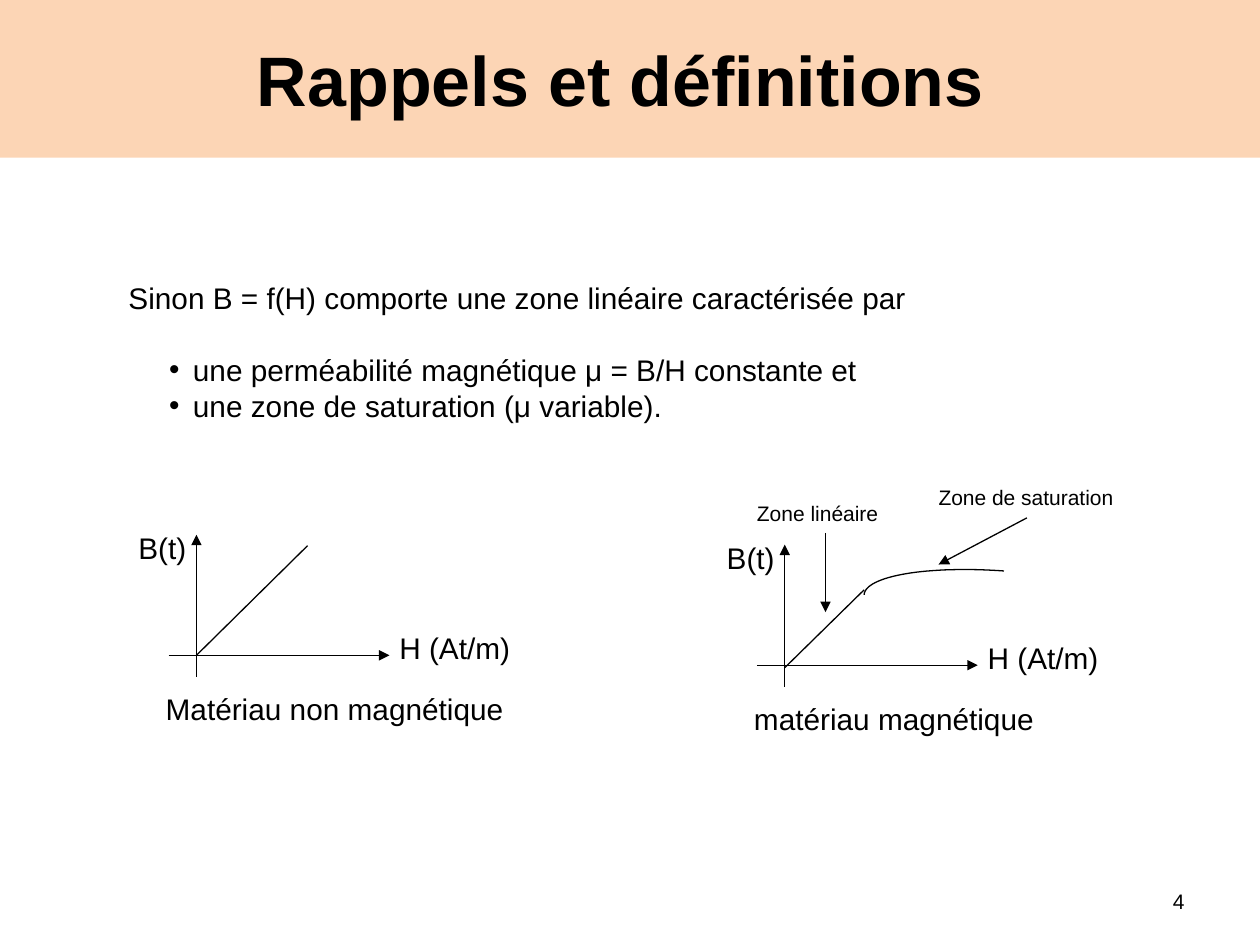
from lxml import etree
from pptx import Presentation
from pptx.dml.color import RGBColor
from pptx.enum.shapes import MSO_CONNECTOR
from pptx.enum.text import MSO_ANCHOR, PP_ALIGN
from pptx.oxml.ns import qn
from pptx.util import Cm, Pt

BLACK = RGBColor(0x00, 0x00, 0x00)
PEACH = RGBColor(0xFC, 0xD5, 0xB5)
STRAIGHT = MSO_CONNECTOR.STRAIGHT
MIDDLE = MSO_ANCHOR.MIDDLE
LEFT, CENTER = PP_ALIGN.LEFT, PP_ALIGN.CENTER
RIGHT, JUSTIFY = PP_ALIGN.RIGHT, PP_ALIGN.JUSTIFY
PITCH = 20.57  # body line height in points


def bezier(p0, p1, p2, p3, steps=32):
    """Return points along a cubic curve."""
    points = []
    for i in range(steps + 1):
        t = i / steps
        u = 1 - t
        points.append(tuple(
            u**3 * a + 3 * u * u * t * b + 3 * u * t * t * c + t**3 * d
            for a, b, c, d in zip(p0, p1, p2, p3)))
    return points


class Deck:
    font = "Arial"
    size = 17
    small = 12
    width = 0.75

    def __init__(self):
        self.prs = Presentation()
        self.prs.slide_width, self.prs.slide_height = Cm(25.4), Cm(19.05)
        self.slide = self.prs.slides.add_slide(self.prs.slide_layouts[5])
        self.shapes = self.slide.shapes

    def style(self, para, size, align=LEFT, bold=False):
        para.alignment = align
        for run in para.runs:
            run.font.name = self.font
            run.font.size = Pt(size)
            run.font.bold = bold
            run.font.color.rgb = BLACK

    def title(self, text, height):
        shape = self.shapes.title
        shape.left, shape.top = Cm(0), Cm(0)
        shape.width, shape.height = self.prs.slide_width, Cm(height)
        shape.fill.solid()
        shape.fill.fore_color.rgb = PEACH
        frame = shape.text_frame
        frame.text = text
        frame.vertical_anchor = MIDDLE
        self.style(frame.paragraphs[0], 40, CENTER, True)

    def label(self, text, x, y, w, h=0.99, size=size, align=LEFT):
        frame = self.shapes.add_textbox(Cm(x), Cm(y), Cm(w), Cm(h)).text_frame
        frame.word_wrap = align != LEFT
        frame.text = text
        self.style(frame.paragraphs[0], size, align)
        return frame

    def body(self, intro, items, x, y, w, h):
        frame = self.label(intro, x, y, w, h, align=JUSTIFY)
        frame.margin_top = Cm(0.85)
        for item in items:
            para = frame.add_paragraph()
            para.text = item
            self.style(para, self.size, JUSTIFY)
            self.bullet(para)
        for para in frame.paragraphs:
            para.line_spacing = Pt(PITCH)
        frame.paragraphs[1].space_before = Pt(PITCH)

    def bullet(self, para):
        props = para._p.get_or_add_pPr()
        props.set("marL", str(Cm(1.3)))
        props.set("indent", str(Cm(-0.48)))
        etree.SubElement(props, qn("a:buFont")).set("typeface", self.font)
        etree.SubElement(props, qn("a:buChar")).set("char", "•")

    def line(self, start, end, arrow=False):
        link = self.shapes.add_connector(
            STRAIGHT, *(Cm(v) for v in (*start, *end)))
        link.line.color.rgb = BLACK
        link.line.width = Pt(self.width)
        if arrow:
            tail = etree.SubElement(link.line._get_or_add_ln(), qn("a:tailEnd"))
            tail.set("type", "triangle")
        etree.SubElement(link._element.spPr, qn("a:effectLst"))

    def curve(self, *points):
        path = [(Cm(x), Cm(y)) for x, y in bezier(*points)]
        pen = self.shapes.build_freeform(*path[0])
        pen.add_line_segments(path[1:], close=False)
        shape = pen.convert_to_shape()
        shape.shadow.inherit = False
        shape.fill.background()
        shape.line.color.rgb = BLACK
        shape.line.width = Pt(self.width)

    def axes(self, x, y, name, w):
        """Draw labelled B and H axes that cross at x, y."""
        self.line((x, y + 0.43), (x, y - 2.43), arrow=True)
        self.line((x - 0.56, y), (x + 3.89, y), arrow=True)
        self.label("B(t)", x - 1.42, y - 2.65, 1.5)
        self.label("H (At/m)", x + 3.84, y - 0.64, 2.77)
        self.label(name, x - 0.87, y + 0.59, w)


def main():
    deck = Deck()
    deck.title("Rappels et définitions ", 3.18)
    deck.body("Sinon B = f(H) comporte une zone linéaire caractérisée par",
              ["une perméabilité magnétique μ = B/H constante et ",
               "une zone de saturation (μ variable)."],
              2.34, 4.78, 21.87, 4.65)

    deck.axes(3.96, 13.21, "Matériau non magnétique", 7.39)
    deck.line((3.96, 13.21), (6.2, 11))

    deck.axes(15.82, 13.41, "matériau magnétique", 6.22)
    deck.line((15.82, 13.46), (17.42, 11.89))
    deck.curve((20.24, 11.51), (18.69, 11.4), (17.45, 11.61), (17.42, 11.99))
    deck.label("Zone de saturation", 18.67, 9.65, 4.06, 0.76, deck.small)
    deck.line((20.7, 10.44), (18.92, 11.38), arrow=True)
    deck.label("Zone linéaire", 15.01, 9.96, 2.97, 0.76, deck.small)
    deck.line((16.64, 10.74), (16.64, 12.34), arrow=True)

    number = deck.label("4", 18.21, 17.65, 5.92, 1.02, deck.small, RIGHT)
    number.vertical_anchor = MIDDLE
    deck.prs.save("out.pptx")


if __name__ == "__main__":
    main()
